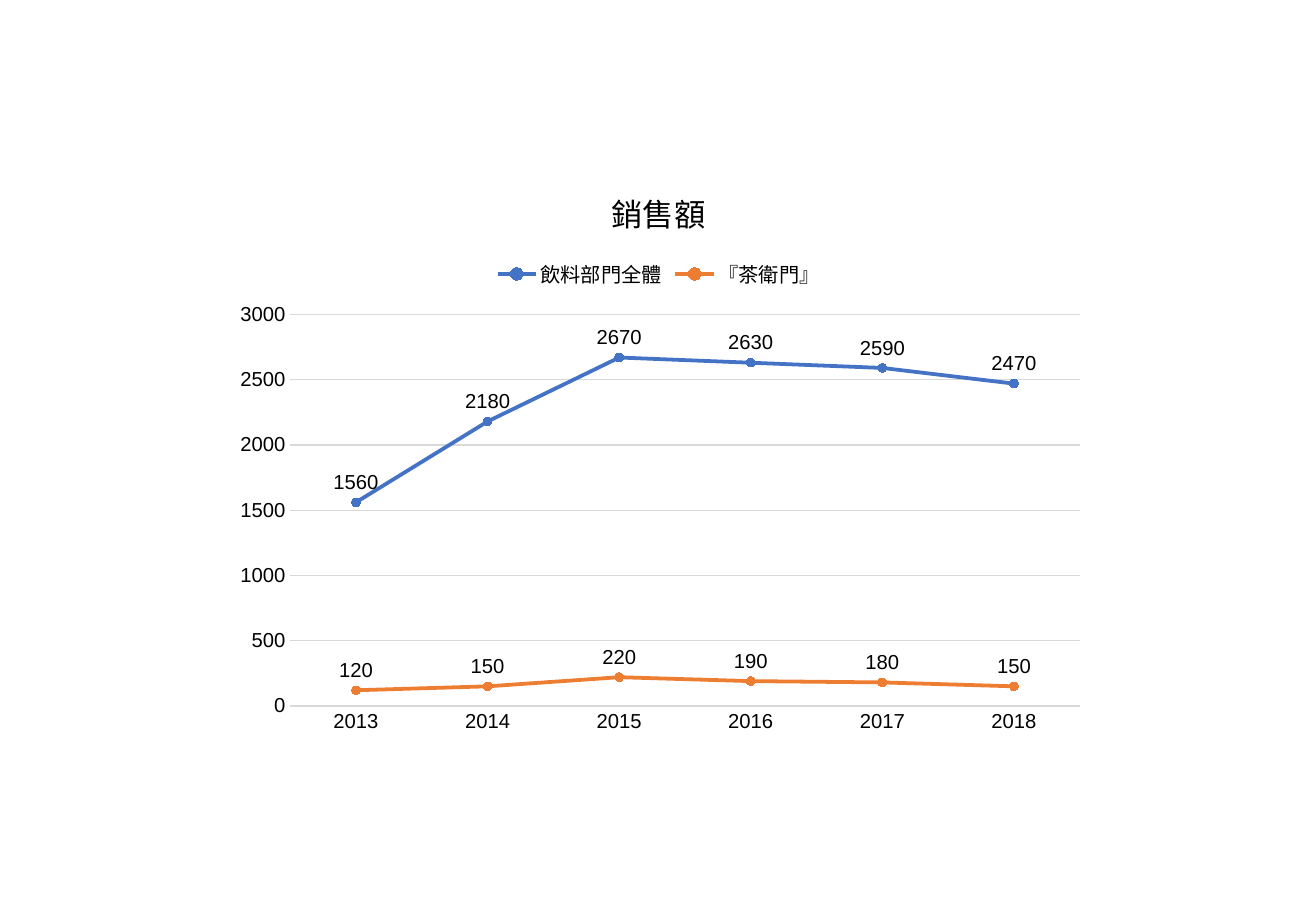
from dataclasses import dataclass

from lxml import etree
from pptx import Presentation
from pptx.chart.data import CategoryChartData
from pptx.dml.color import RGBColor
from pptx.enum.chart import (XL_CHART_TYPE, XL_LABEL_POSITION, XL_LEGEND_POSITION,
                             XL_MARKER_STYLE, XL_TICK_MARK)
from pptx.oxml.ns import qn
from pptx.util import Cm, Pt

LINES = XL_CHART_TYPE.LINE_MARKERS
ABOVE = XL_LABEL_POSITION.ABOVE
TOP = XL_LEGEND_POSITION.TOP
ROUND = XL_MARKER_STYLE.CIRCLE
BARE = XL_TICK_MARK.NONE


@dataclass(frozen=True)
class Theme:
    ink: str = "000000"
    grid: str = "D9D9D9"
    lines: tuple = ("4472C4", "ED7D31")
    font: str = "Arial"
    cjk: str = "Noto Sans CJK SC"
    body: float = 12
    head: float = 18.6
    thin: float = 0.75
    thick: float = 2.25
    dot: int = 5


def apply(item, values):
    for name, value in values.items():
        setattr(item, name, value)


class Deck:
    def __init__(self, theme, width, height):
        self.theme = theme
        self.file = Presentation()
        apply(self.file, {"slide_width": width, "slide_height": height})
        self.slide = self.file.slides.add_slide(self.file.slide_layouts[6])

    def type(self, font, face, size):
        apply(font, {"name": face, "size": Pt(size), "bold": False})
        font.color.rgb = RGBColor.from_string(self.theme.ink)

    def stroke(self, line, color, width):
        line.color.rgb = RGBColor.from_string(color)
        line.width = Pt(width)

    def chart(self, title, years, sales, box, frame):
        look = self.theme
        data = CategoryChartData()
        data.categories = years
        for name, values in sales.items():
            data.add_series(name, values)
        chart = self.slide.shapes.add_chart(LINES, *box, data).chart
        self.type(chart.font, look.font, look.body)

        text = chart.chart_title.text_frame
        text.text = title
        self.type(text.paragraphs[0].runs[0].font, look.cjk, look.head)
        chart.has_legend = True
        apply(chart.legend, {"position": TOP, "include_in_layout": False})
        self.type(chart.legend.font, look.cjk, look.body)

        self.axes(chart)
        for series, color in zip(chart.plots[0].series, look.lines):
            self.series(series, color)
        self.layout(chart, frame)
        for latin in list(chart.element.iter(qn("a:latin"))):
            east = etree.Element(qn("a:ea"), typeface=look.cjk)
            latin.addnext(east)

    def axes(self, chart):
        look = self.theme
        years, sums = chart.category_axis, chart.value_axis
        for axis in (years, sums):
            apply(axis, {"major_tick_mark": BARE, "minor_tick_mark": BARE})
            self.type(axis.tick_labels.font, look.font, look.body)
        apply(sums, {"minimum_scale": 0, "maximum_scale": 3000,
                     "major_unit": 500, "has_major_gridlines": True})
        sums.format.line.fill.background()
        for line in (years.format.line, sums.major_gridlines.format.line):
            self.stroke(line, look.grid, look.thin)

    def series(self, series, color):
        look = self.theme
        series.smooth = False
        self.stroke(series.format.line, color, look.thick)
        apply(series.marker, {"style": ROUND, "size": look.dot})
        fill = series.marker.format.fill
        fill.solid()
        fill.fore_color.rgb = RGBColor.from_string(color)
        self.stroke(series.marker.format.line, color, look.thin)
        labels = series.data_labels
        apply(labels, {"show_value": True, "position": ABOVE})
        self.type(labels.font, look.font, look.body)

    def layout(self, chart, frame):
        area = next(chart.element.iter(qn("c:plotArea")))
        for old in area.findall(qn("c:layout")):
            area.remove(old)
        layout = etree.Element(qn("c:layout"))
        area.insert(0, layout)
        manual = etree.SubElement(layout, qn("c:manualLayout"))
        parts = {"layoutTarget": "inner", "xMode": "edge", "yMode": "edge", **frame}
        for name, value in parts.items():
            etree.SubElement(manual, qn("c:" + name), val=str(value))

    def save(self):
        self.file.save("out.pptx")


deck = Deck(Theme(), Cm(27.51), Cm(19.05))
deck.chart(
    "銷售額",
    [str(year) for year in range(2013, 2019)],
    {"飲料部門全體": (1560, 2180, 2670, 2630, 2590, 2470),
     "『茶衛門』": (120, 150, 220, 190, 180, 150)},
    (Cm(4.6), Cm(3.4), Cm(18.34), Cm(12.22)),
    {"x": 0.08, "y": 0.26, "w": 0.9, "h": 0.67},
)
deck.save()
